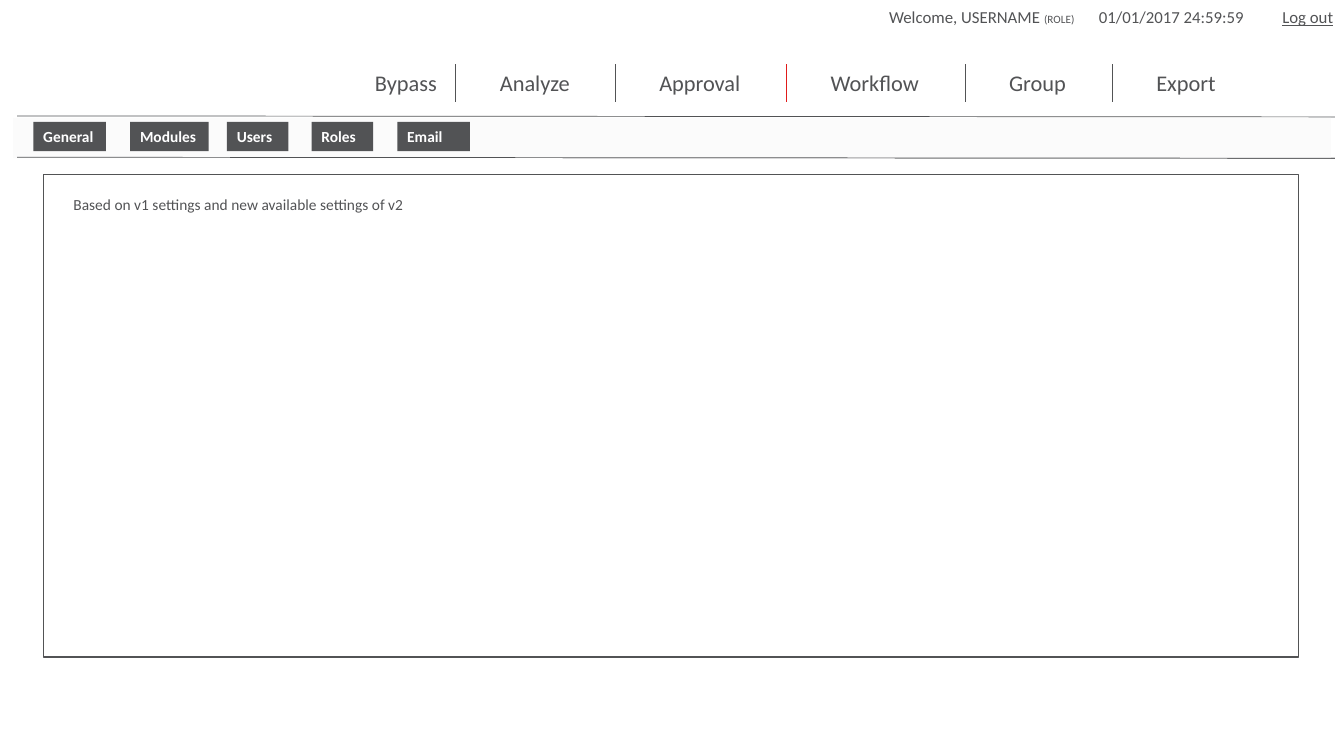
from lxml.etree import SubElement
from pptx import Presentation
from pptx.dml.color import RGBColor
from pptx.enum.shapes import MSO_CONNECTOR as Link, MSO_SHAPE as Form
from pptx.enum.text import MSO_ANCHOR as Anchor, MSO_AUTO_SIZE as Fit, PP_ALIGN as Align
from pptx.oxml.ns import qn
from pptx.util import Inches, Pt

GREY = RGBColor(0x52, 0x53, 0x55)
RED = RGBColor(0xE0, 0x1B, 0x1A)
PALE = RGBColor(0xFB, 0xFB, 0xFB)
WHITE = RGBColor(0xFF, 0xFF, 0xFF)

WIDE, HIGH = 13.33, 7.5
FONT = "Calibri"

# Status line: text, size, underlined
STATUS = [
    ("Welcome, USERNAME ", 12, False),
    ("(ROLE)\t", 8, False),
    ("01/01/2017 24:59:59\t", 12, False),
    ("Log out", 12, True),
]
STOPS = (2.08, 3.9)

FIRST = ("Bypass", 3.62, 0.82)
# Menu: label, left of its divider, label width, divider colour
MENU = [
    ("Analyze", 4.52, 0.9, GREY),
    ("Approval", 6.1, 1.02, GREY),
    ("Workflow", 7.8, 1.09, RED),
    ("Group", 9.57, 0.77, GREY),
    ("Export", 11.03, 0.8, GREY),
]
MENU_TOP, MENU_HIGH, MENU_GAP = 0.64, 0.37, 0.34

# Tabs: label, left, width
TABS = [
    ("General", 0.33, 0.72),
    ("Modules", 1.29, 0.78),
    ("Users", 2.25, 0.61),
    ("Roles", 3.09, 0.61),
    ("Email", 3.94, 0.72),
]
TAB_TOP, TAB_HIGH = 1.21, 0.29
RULES = (1.15, 1.56)
NOTE = "Based on v1 settings and new available settings of v2"

deck = Presentation()
deck.slide_width, deck.slide_height = Inches(WIDE), Inches(HIGH)
slide = deck.slides.add_slide(deck.slide_layouts[6])
shapes = slide.shapes


def write(shape, runs, color=GREY, bold=False, wrap=False, anchor=Anchor.TOP):
    """Fill a shape with one left-aligned line of (text, size, underlined) runs."""
    frame = shape.text_frame
    frame.word_wrap = wrap
    frame.auto_size = Fit.SHAPE_TO_FIT_TEXT
    frame.vertical_anchor = anchor
    line = frame.paragraphs[0]
    line.alignment = Align.LEFT
    for text, size, under in runs:
        run = line.add_run()
        run.text = text
        font = run.font
        font.name, font.size, font.bold = FONT, Pt(size), bold
        font.color.rgb = color
        if under:
            font.underline = True
    return line


def label(box, runs, **style):
    return write(shapes.add_textbox(*map(Inches, box)), runs, **style)


def rect(box, fill=None, line=None):
    shape = shapes.add_shape(Form.RECTANGLE, *map(Inches, box))
    shape.shadow.inherit = False
    if fill is None:
        shape.fill.background()
    else:
        shape.fill.solid()
        shape.fill.fore_color.rgb = fill
    if line is None:
        shape.line.fill.background()
    else:
        shape.line.color.rgb = line
        shape.line.width = Pt(1)
    return shape


def rule(x1, y1, x2, y2, color=GREY):
    line = shapes.add_connector(Link.STRAIGHT, *map(Inches, (x1, y1, x2, y2)))
    line.line.color.rgb = color
    line.line.width = Pt(0.5)
    SubElement(line._element.spPr, qn("a:effectLst"))


def item(name, left, width):
    label((left, MENU_TOP, width, MENU_HIGH), [(name, 16, False)])


# Header
status = label((8.72, 0.02, 4.63, 0.3), STATUS, wrap=True)
stops = SubElement(status._p.get_or_add_pPr(), qn("a:tabLst"))
for stop in STOPS:
    SubElement(stops, qn("a:tab"), pos=str(Inches(stop)), algn="l")

item(*FIRST)
for name, left, width, color in MENU:
    rule(left, MENU_TOP, left, MENU_TOP + MENU_HIGH, color)
    item(name, left + MENU_GAP, width)

# Tab bar
for top in RULES:
    rule(0.17, top, 13.24, top + 0.01)
rect((0.13, 1.17, 13.07, 0.4), fill=PALE)
rule(0.17, RULES[1], 13.24, RULES[1] + 0.01)
for name, left, width in TABS:
    tab = rect((left, TAB_TOP, width, TAB_HIGH), fill=GREY)
    write(tab, [(name, 11, False)], color=WHITE, bold=True, wrap=True, anchor=Anchor.MIDDLE)

# Content panel
rect((0.43, 1.73, 12.45, 4.79), line=GREY)
label((0.63, 1.89, 3.51, 0.29), [(NOTE, 11, False)])

deck.save("out.pptx")
